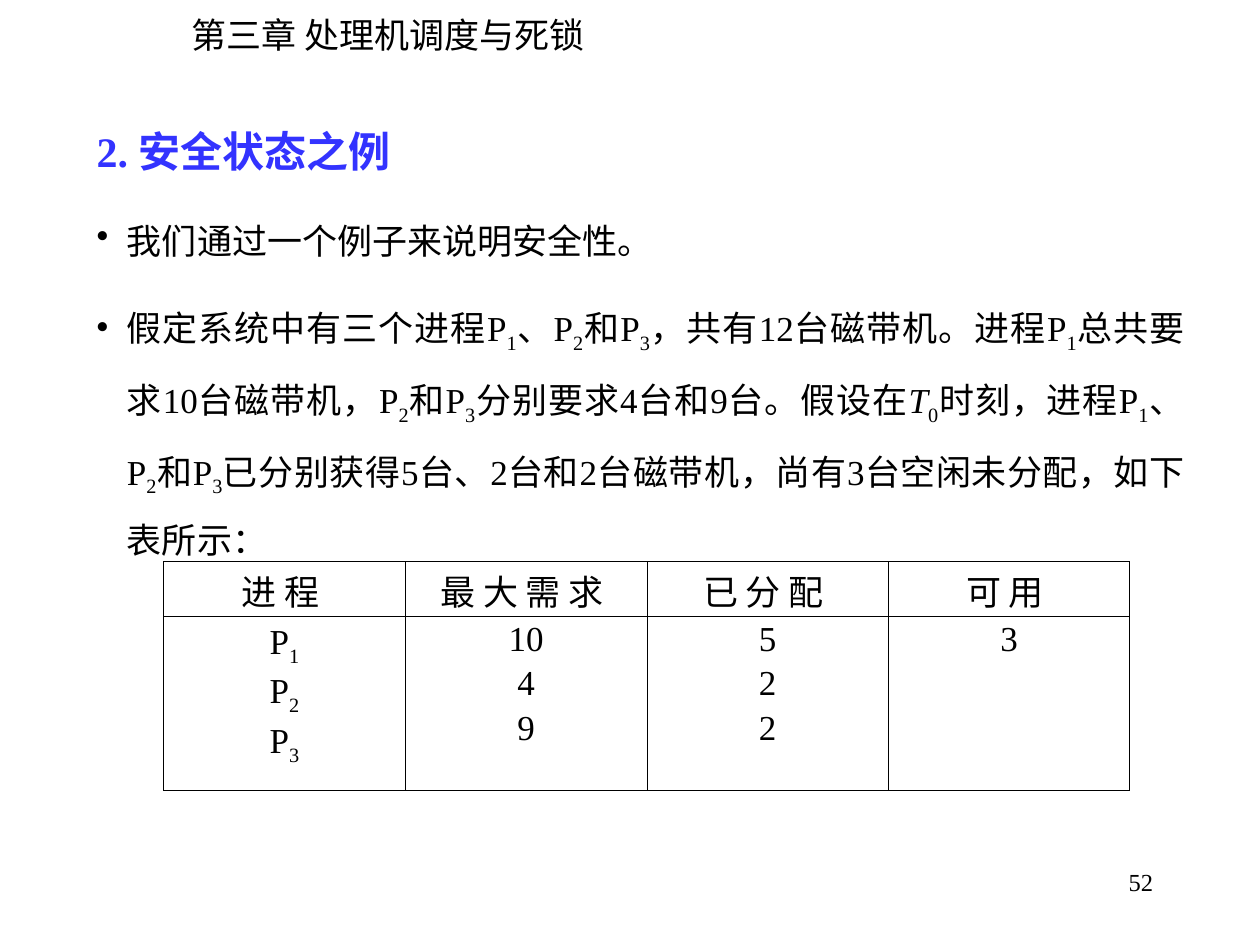
"""Build the slide that introduces the safe-state example with its allocation table."""
from dataclasses import dataclass

from lxml.etree import SubElement
from pptx import Presentation
from pptx.dml.color import RGBColor
from pptx.enum.text import MSO_ANCHOR, MSO_AUTO_SIZE, PP_ALIGN
from pptx.oxml.ns import qn
from pptx.util import Pt

BLACK = RGBColor(0x00, 0x00, 0x00)
BLUE = RGBColor(0x33, 0x33, 0xFF)
LATIN_FONT = "Times New Roman"
CHAPTER_FONT = "Noto Sans CJK JP"
BULLET_INDENT = Pt(17.3)
OUTER_LINE = Pt(0.5)
INNER_LINE = Pt(0.23)


@dataclass(frozen=True)
class Style:
    size: float = 20
    font: str = LATIN_FONT
    color: RGBColor = BLACK
    bold: bool = False
    align: PP_ALIGN = PP_ALIGN.LEFT
    line_spacing: float = 1.0
    space_before: float = 0
    bullet: bool = False


@dataclass(frozen=True)
class Column:
    heading: str
    values: tuple[str, ...]


CHAPTER = Style(font=CHAPTER_FONT)
HEADING = Style(size=24, color=BLUE, bold=True, align=PP_ALIGN.JUSTIFY, line_spacing=1.5)
BODY = Style(align=PP_ALIGN.JUSTIFY, line_spacing=1.5, space_before=12.5, bullet=True)
FIRST_VALUE = Style(align=PP_ALIGN.CENTER, line_spacing=0.92)
NEXT_VALUE = Style(align=PP_ALIGN.CENTER, line_spacing=0.92, space_before=5)
PAGE_NUMBER = Style(size=14, align=PP_ALIGN.RIGHT)

EXPLANATION = (
    ("2. 安全状态之例", HEADING),
    ("我们通过一个例子来说明安全性。", BODY),
    ("假定系统中有三个进程P|1|、P|2|和P|3|，共有12台磁带机。进程P|1|"
     "总共要求10台磁带机，P|2|和P|3|分别要求4台和9台。假设在*T*|0|"
     "时刻，进程P|1|、P|2|和P|3|已分别获得5台、2台和2台磁带机，"
     "尚有3台空闲未分配，如下表所示： ", BODY),
)
ALLOCATION = (
    Column("进 程 ", ("P|1|", "P|2|", "P|3|")),
    Column("最 大 需 求 ", ("10", "4", "9")),
    Column("已 分 配 ", ("5", "2", "2")),
    Column("可 用 ", ("3",)),
)


def add_bullet(paragraph) -> None:
    properties = paragraph._p.get_or_add_pPr()
    properties.set("marL", str(BULLET_INDENT))
    properties.set("indent", str(-BULLET_INDENT))
    bullet_color = SubElement(properties, qn("a:buClr"))
    SubElement(bullet_color, qn("a:srgbClr"), val=str(BLACK))
    SubElement(properties, qn("a:buChar"), char="•")


def write_paragraph(paragraph, marked_text: str, style: Style) -> None:
    """Write text in which |x| marks a subscript and *x* marks italics."""
    paragraph.alignment = style.align
    paragraph.line_spacing = style.line_spacing
    paragraph.space_before = Pt(style.space_before)
    if style.bullet:
        add_bullet(paragraph)
    for level, segment in enumerate(marked_text.split("|")):
        for slant, piece in enumerate(segment.split("*")):
            if not piece:
                continue
            run = paragraph.add_run()
            run.text = piece
            run.font.size = Pt(style.size)
            run.font.name = style.font
            run.font.color.rgb = style.color
            run.font.bold = style.bold
            run.font.italic = slant % 2 == 1
            if level % 2:
                run._r.get_or_add_rPr().set("baseline", "-25000")


def write_paragraphs(frame, content) -> None:
    for index, (text, style) in enumerate(content):
        paragraph = frame.add_paragraph() if index else frame.paragraphs[0]
        write_paragraph(paragraph, text, style)


def add_text(slide, left: float, top: float, width: float, height: float, content) -> None:
    frame = slide.shapes.add_textbox(Pt(left), Pt(top), Pt(width), Pt(height)).text_frame
    frame.word_wrap = True
    write_paragraphs(frame, content)


def set_chapter(slide, text: str) -> None:
    chapter = slide.shapes.title
    chapter.left, chapter.top, chapter.width, chapter.height = Pt(102.2), Pt(4.3), Pt(243.4), Pt(31.7)
    frame = chapter.text_frame
    frame.word_wrap = False
    frame.auto_size = MSO_AUTO_SIZE.NONE
    frame.vertical_anchor = MSO_ANCHOR.TOP
    write_paragraph(frame.paragraphs[0], text, CHAPTER)


def format_cell(cell, outer_edges: dict[str, bool]) -> None:
    properties = cell._tc.get_or_add_tcPr()
    for edge, is_outer in outer_edges.items():
        border = SubElement(properties, qn(f"a:{edge}"), w=str(OUTER_LINE if is_outer else INNER_LINE))
        fill = SubElement(border, qn("a:solidFill"))
        SubElement(fill, qn("a:srgbClr"), val=str(BLACK))
    cell.fill.background()


def add_allocation_table(slide, columns: tuple[Column, ...]) -> None:
    row_heights = (31.4, 99.4)
    column_width = 138
    last_column, last_row = len(columns) - 1, len(row_heights) - 1
    table = slide.shapes.add_table(
        len(row_heights), len(columns), Pt(93.6), Pt(321),
        Pt(column_width * len(columns)), Pt(sum(row_heights))).table
    table.first_row = False
    table.horz_banding = False
    for row, height in zip(table.rows, row_heights):
        row.height = Pt(height)
    for column_index, column in enumerate(columns):
        table.columns[column_index].width = Pt(column_width)
        for row_index, lines in enumerate(((column.heading,), column.values)):
            cell = table.cell(row_index, column_index)
            styles = (FIRST_VALUE,) + (NEXT_VALUE,) * (len(lines) - 1)
            write_paragraphs(cell.text_frame, zip(lines, styles))
            format_cell(cell, {
                "lnL": column_index == 0,
                "lnR": column_index == last_column,
                "lnT": row_index == 0,
                "lnB": row_index == last_row,
            })


def main() -> None:
    presentation = Presentation()
    presentation.slide_width, presentation.slide_height = Pt(720), Pt(540)
    slide = presentation.slides.add_slide(presentation.slide_layouts[5])
    set_chapter(slide, "第三章 处理机调度与死锁")
    add_text(slide, 48.2, 54, 635.8, 270.7, EXPLANATION)
    add_allocation_table(slide, ALLOCATION)
    add_text(slide, 516.2, 491.8, 149.8, 36, (("52", PAGE_NUMBER),))
    presentation.save("out.pptx")


if __name__ == "__main__":
    main()
